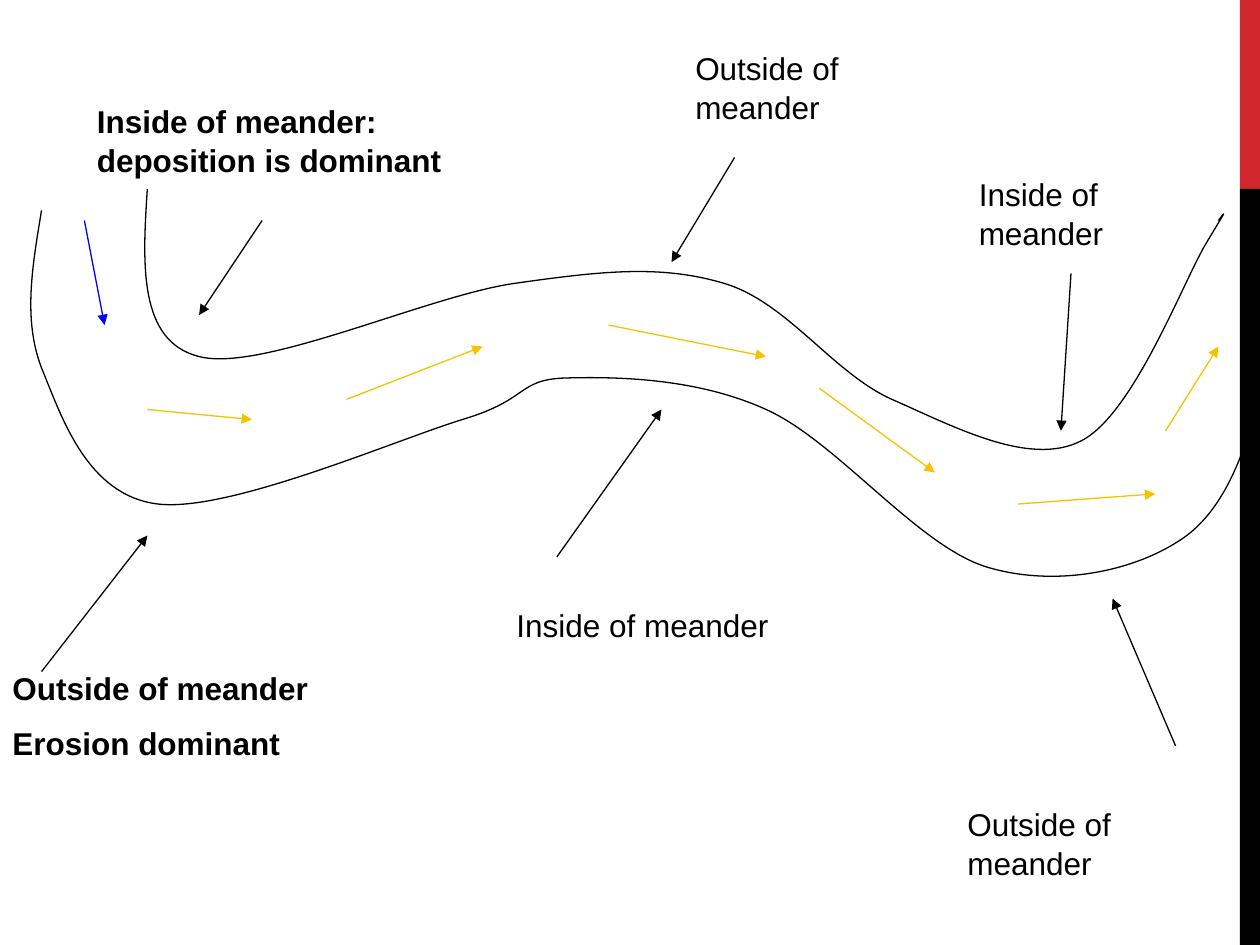
from pptx import Presentation
from pptx.dml.color import RGBColor
from pptx.enum.shapes import MSO_CONNECTOR, MSO_SHAPE
from pptx.oxml.ns import qn
from pptx.util import Pt
from lxml import etree

PX = 9144
RECTANGLE = MSO_SHAPE.RECTANGLE
STRAIGHT = MSO_CONNECTOR.STRAIGHT
BLACK = RGBColor(0x00, 0x00, 0x00)
RED = RGBColor(0xD1, 0x28, 0x2E)
BLUE = RGBColor(0x00, 0x00, 0xFF)
GOLD = RGBColor(0xF5, 0xC2, 0x01)

SIDE_BARS = [(0, 150, RED), (150, 600, BLACK)]

UPPER_BANK = [
    (117, 150),
    (113, 210), (110, 271), (158, 283),
    (207, 296), (339, 235), (408, 225),
    (478, 215), (525, 210), (575, 225),
    (625, 240), (661, 296), (708, 317),
    (756, 338), (817, 371), (858, 350),
    (900, 329), (940, 221), (958, 192),
    (976, 162), (972, 169), (967, 175),
]
LOWER_BANK = [
    (33, 167),
    (26, 210), (18, 253), (33, 292),
    (49, 331), (69, 393), (125, 400),
    (181, 407), (312, 350), (367, 333),
    (421, 317), (410, 301), (450, 300),
    (490, 299), (553, 300), (608, 325),
    (664, 350), (728, 433), (783, 450),
    (839, 467), (904, 453), (942, 425),
    (979, 397), (994, 340), (1008, 283),
]

POINTERS = [
    ((208, 175), (158, 250)),
    ((33, 533), (117, 425)),
    ((442, 442), (525, 325)),
    ((583, 125), (533, 208)),
    ((850, 217), (842, 342)),
    ((933, 592), (883, 475)),
]
INFLOW = [((67, 175), (83, 258))]
CURRENTS = [
    ((117, 325), (200, 333)),
    ((275, 317), (383, 275)),
    ((483, 258), (608, 283)),
    ((650, 308), (742, 375)),
    ((808, 400), (917, 392)),
    ((925, 342), (967, 275)),
]

LABELS = [
    ((67, 75, 375, 90), ["Inside of meander: deposition is dominant"], True),
    ((0, 525, 325, 110), ["Outside of meander", "Erosion dominant"], True),
    ((400, 475, 292, 50), ["Inside of meander"], False),
    ((542, 33, 233, 90), ["Outside of meander"], False),
    ((767, 133, 183, 90), ["Inside of meander"], False),
    ((758, 633, 217, 90), ["Outside of meander"], False),
]


def px(*lengths):
    """Turn px lengths into EMU."""
    return [length * PX for length in lengths]


def add_bar(page, top, height, color):
    """Add one block of the strip at the right edge."""
    bar = page.shapes.add_shape(RECTANGLE, *px(984, top, 16, height))
    bar.shadow.inherit = False
    bar.fill.solid()
    bar.fill.fore_color.rgb = color
    bar.line.fill.background()


def add_bank(page, points):
    """Draw a river bank as cubic curves through the start and point triples."""
    builder = page.shapes.build_freeform(*points[0], scale=PX)
    builder.add_line_segments(points[1:], close=False)
    bank = builder.convert_to_shape()
    bank.shadow.inherit = False
    bank.fill.background()
    bank.line.color.rgb = BLACK
    bank.line.width = Pt(0.75)
    outline = next(bank.element.iter(qn("a:path")))
    segments = outline.findall(qn("a:lnTo"))
    for start in range(0, len(segments), 3):
        curve = etree.SubElement(outline, qn("a:cubicBezTo"))
        for segment in segments[start:start + 3]:
            curve.append(segment[0])
            outline.remove(segment)


def add_arrow(page, start, end, color):
    """Add a thin line with a triangular head at its end."""
    arrow = page.shapes.add_connector(STRAIGHT, *px(*start, *end))
    arrow.line.color.rgb = color
    arrow.line.width = Pt(0.75)
    etree.SubElement(arrow.line._get_or_add_ln(), qn("a:tailEnd"), type="triangle")
    etree.SubElement(arrow.element.spPr, qn("a:effectLst"))


def add_label(page, area, lines, bold):
    """Add a wrapped text label with one paragraph per line."""
    box = page.shapes.add_textbox(*px(*area))
    frame = box.text_frame
    frame.word_wrap = True
    frame.text = "\n".join(lines)
    for index, para in enumerate(frame.paragraphs):
        para.line_spacing = 1.04
        if index:
            para.space_before = Pt(9)
        for span in para.runs:
            span.font.name = "Arial"
            span.font.size = Pt(18)
            span.font.bold = bold
            span.font.color.rgb = BLACK


def main():
    """Build the meander diagram."""
    deck = Presentation()
    deck.slide_width, deck.slide_height = px(1000, 750)
    page = deck.slides.add_slide(deck.slide_layouts[6])
    for top, height, color in SIDE_BARS:
        add_bar(page, top, height, color)
    for points in (UPPER_BANK, LOWER_BANK):
        add_bank(page, points)
    for arrows, color in ((POINTERS, BLACK), (INFLOW, BLUE), (CURRENTS, GOLD)):
        for start, end in arrows:
            add_arrow(page, start, end, color)
    for area, lines, bold in LABELS:
        add_label(page, area, lines, bold)
    deck.save("out.pptx")


if __name__ == "__main__":
    main()
